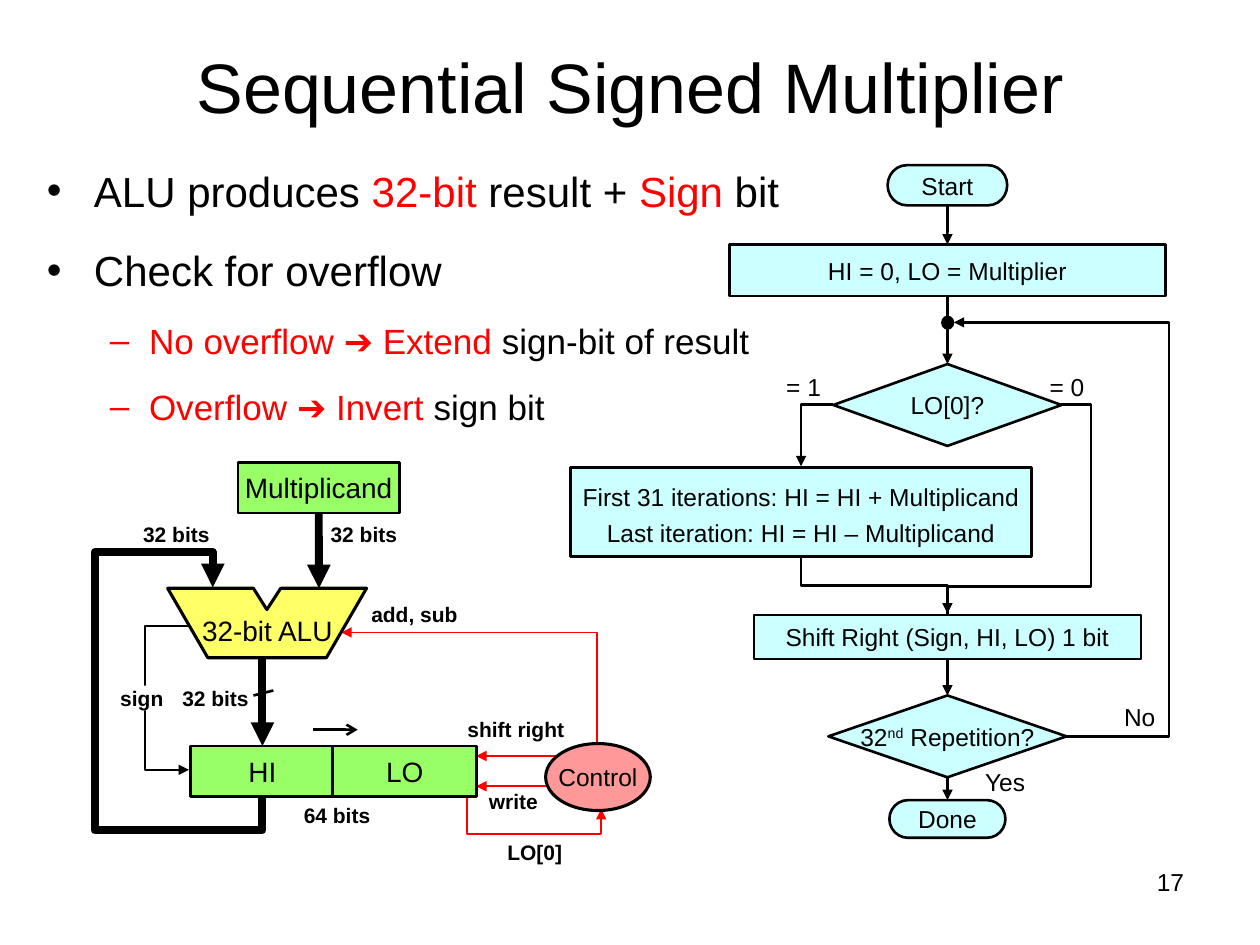
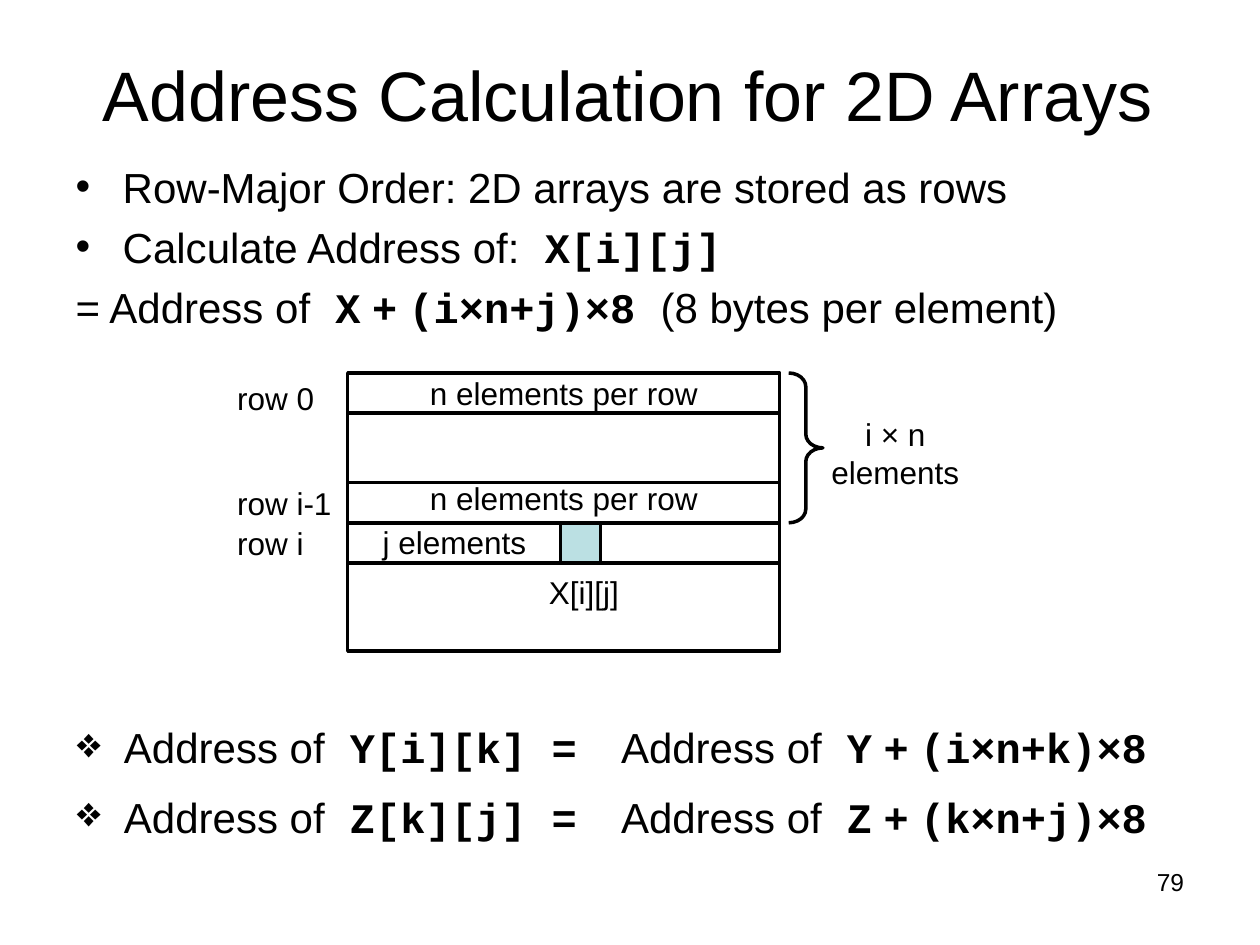
from lxml.etree import SubElement as Sub
from pptx import Presentation
from pptx.dml.color import RGBColor
from pptx.enum.shapes import MSO_CONNECTOR as Conn, MSO_SHAPE as Kind
from pptx.enum.text import MSO_ANCHOR as Anchor, MSO_AUTO_SIZE as Fit, PP_ALIGN as Align
from pptx.oxml.ns import qn
from pptx.util import Cm, Pt

BLACK, WHITE, RED = "000000", "FFFFFF", "FF0000"
AQUA, GREEN, YELLOW, PINK, TEAL = "CCFFFF", "99FF66", "FFFF66", "FF9999", "BBE0E3"
SANS, MONO = "Arial", "Courier New"
AXIS = 19.1
BODY = 24


def color(code):
    return RGBColor.from_string(code)


def cms(*vals):
    return [Cm(val) for val in vals]


def red(text):
    return text, {"ink": RED}


def code(text):
    return text, {"face": MONO, "bold": True}


def bold(text):
    return text, {"bold": True}


def add_run(para, text, size, ink=BLACK, face=SANS, bold=False, base=0):
    run = para.add_run()
    run.text = text
    font = run.font
    font.size, font.name, font.bold = Pt(size), face, bold
    font.color.rgb = color(ink)
    if base:
        run._r.get_or_add_rPr().set("baseline", str(base))


def add_runs(para, runs, size, **look):
    for run in runs:
        text, extra = (run, {}) if isinstance(run, str) else run
        add_run(para, text, size, **{**look, **extra})


def set_bullet(para, mark, left, hang):
    props = para._p.get_or_add_pPr()
    props.set("marL", str(Cm(left)))
    props.set("indent", str(-Cm(hang)))
    if mark:
        Sub(props, qn("a:buChar"), char=mark)
    else:
        Sub(props, qn("a:buNone"))


def paras(frame, count):
    return [frame.paragraphs[0]] + [frame.add_paragraph() for _ in range(count - 1)]


def write(frame, lines, size, align=Align.CENTER, wrap=True, space=None, **look):
    frame.word_wrap = wrap
    frame.vertical_anchor = Anchor.MIDDLE
    frame.margin_left = frame.margin_right = frame.margin_top = frame.margin_bottom = 0
    for para, runs in zip(paras(frame, len(lines)), lines):
        para.alignment = align
        if space:
            para.line_spacing = space
        add_runs(para, runs, size, **look)


def fill_list(frame, items, gap):
    frame.word_wrap = True
    frame.auto_size = Fit.NONE
    frame.vertical_anchor = Anchor.TOP
    for num, (para, (mark, level, runs)) in enumerate(zip(paras(frame, len(items)), items)):
        size = (BODY, 20)[level]
        para.level = level
        para.space_before = Pt(round(gap * size * 1.15, 1) if num else 0)
        set_bullet(para, mark, *((0.95, 0.95), (2.06, 0.79))[level])
        add_runs(para, runs, size)


def place(shape, at):
    shape.left, shape.top, shape.width, shape.height = cms(*at)


def new_page(deck, title, at, number):
    page = deck.slides.add_slide(deck.slide_layouts[1])
    head = page.shapes.title
    place(head, at)
    write(head.text_frame, [[title]], 40)
    label(page, (18.47, 17.48, 5.4, 0.57), number, 14, Align.RIGHT)
    return page


def add_body(page, at, items, gap):
    body = page.placeholders[1]
    place(body, at)
    fill_list(body.text_frame, items, gap)


def label(page, at, text, size, align=Align.CENTER, fill=None, **look):
    box = page.shapes.add_textbox(*cms(*at))
    if fill:
        box.fill.solid()
        box.fill.fore_color.rgb = color(fill)
    write(box.text_frame, [[line] for line in text.split("\n")], size, align, **look)


def paint(shape, fill, width):
    shape.shadow.inherit = False
    if fill:
        shape.fill.solid()
        shape.fill.fore_color.rgb = color(fill)
    else:
        shape.fill.background()
    stroke(shape, BLACK, width)


def stroke(shape, ink, width, tip=None):
    shape.line.color.rgb = color(ink)
    shape.line.width = Pt(width)
    if tip:
        Sub(shape.element.spPr.ln, qn("a:tailEnd"), type=tip)


def block(page, kind, at, fill, width, lines=(), size=14, space=None):
    shape = page.shapes.add_shape(kind, *cms(*at))
    paint(shape, fill, width)
    if lines:
        write(shape.text_frame, lines, size, wrap=False, space=space)
    return shape


def trace(page, points, closed=False):
    first, *rest = [cms(*point) for point in points]
    pen = page.shapes.build_freeform(*first, scale=1.0)
    pen.add_line_segments(rest, close=closed)
    return pen.convert_to_shape()


def route(page, points, ink, width):
    shape = trace(page, points)
    paint(shape, None, width)
    stroke(shape, ink, width, "triangle")


def wire(page, start, end, ink=BLACK, width=1.5, tip="triangle", kind=Conn.STRAIGHT):
    line = page.shapes.add_connector(kind, *cms(*start, *end))
    stroke(line, ink, width, tip)
    Sub(line.element.spPr, qn("a:effectLst"))
    return line


def link(page, top, low):
    line = wire(page, (0, 0), (1, 1))
    line.begin_connect(top, 2)
    line.end_connect(low, 0)


def bend(page, start, end, shape, adjust=(), tip="triangle", turn=False):
    if turn:
        (x1, y1), (x2, y2) = start, end
        mid_x, mid_y = (x1 + x2) / 2, (y1 + y2) / 2
        half_w, half_h = (x2 - x1) / 2, (y2 - y1) / 2
        start = mid_x + half_h, mid_y - half_w
        end = mid_x - half_h, mid_y + half_w
    line = wire(page, start, end, tip=tip, kind=Conn.ELBOW)
    props = line.element.spPr
    if turn:
        props.find(qn("a:xfrm")).set("rot", str(270 * 60000))
    geom = props.find(qn("a:prstGeom"))
    geom.set("prst", shape)
    guides = geom.find(qn("a:avLst"))
    for num, part in enumerate(adjust, 1):
        Sub(guides, qn("a:gd"), name=f"adj{num}", fmla=f"val {round(part * 100000)}")


def draw_flow(page):
    def node(kind, top, wide, high, *runs):
        at = AXIS - wide / 2, top, wide, high
        return block(page, kind, at, AQUA, 1.5, [runs])

    block(page, Kind.OVAL, (18.99, 6.38, 0.23, 0.25), BLACK, 1)
    start = node(Kind.FLOWCHART_TERMINATOR, 3.33, 2.41, 0.81, "Start")
    init = node(Kind.RECTANGLE, 4.93, 8.79, 1.04, "HI = 0, LO = Multiplier")
    test = node(Kind.FLOWCHART_DECISION, 7.34, 4.6, 1.65, "LO[0]?")
    shift = node(Kind.RECTANGLE, 12.4, 7.8, 0.89, "Shift Right (Sign, HI, LO) 1 bit")
    again = node(Kind.FLOWCHART_DECISION, 14.02, 4.8, 1.65,
                 "32", ("nd", {"base": 30000}), " Repetition?")
    done = node(Kind.FLOWCHART_TERMINATOR, 16.13, 2.34, 0.76, "Done")
    block(page, Kind.RECTANGLE, (11.5, 9.42, 9.3, 1.8), AQUA, 1.5,
          [["First 31 iterations: HI = HI + Multiplicand"],
           ["Last iteration: HI = HI – Multiplicand"]], space=1.2)

    for top, low in ((start, init), (init, test), (shift, again), (again, done)):
        link(page, top, low)
    bend(page, (16.8, 8.16), (16.15, 9.4), "bentConnector2")
    bend(page, (16.15, 11.23), (AXIS, 12.37), "bentConnector3", [0.5], turn=True)
    bend(page, (21.4, 8.16), (AXIS, 12.37), "bentConnector4", [-0.26, 0.87], None)
    bend(page, (21.5, 14.85), (19.23, 6.5), "bentConnector3", [-0.91])

    for left, top, text in ((21.16, 7.37, "= 0"), (15.85, 7.37, "= 1"),
                            (22.66, 14.02, "No"), (19.86, 15.34, "Yes")):
        label(page, (left, top, 1.2, 0.84), text, 14, Align.LEFT)


def draw_unit(page):
    route(page, [(5.29, 12.62), (2.92, 12.62), (2.92, 15.52), (3.81, 15.52)], BLACK, 1)
    route(page, [(5.29, 16.03), (5.29, 16.74), (1.91, 16.74),
                 (1.91, 11.13), (4.29, 11.13), (4.29, 11.84)], BLACK, 4.5)
    route(page, [(9.42, 16.03), (9.42, 16.81), (12.12, 16.81), (12.12, 16.31)], RED, 1)
    route(page, [(12.04, 15.06), (12.04, 12.75), (6.88, 12.75)], RED, 1)
    for left, top in ((11.2, 15.24), (11.13, 15.85)):
        wire(page, (left, top), (9.6, top), RED, 1)

    alu = trace(page, [(7.39, 11.86), (5.66, 11.86), (5.38, 12.29), (5.11, 11.86),
                       (3.38, 11.86), (4.19, 13.26), (6.58, 13.26)], True)
    paint(alu, YELLOW, 1.75)
    label(page, (3.89, 12.22, 3, 0.99), "32-bit ALU", 16)
    block(page, Kind.OVAL, (11, 14.99, 2.11, 1.35), PINK, 1.75, [["Control"]])
    source, high, _ = [
        block(page, Kind.RECTANGLE, (left, top, wide, 1.02), GREEN, 1.5, [[text]], 16)
        for left, top, wide, text in ((4.8, 9.32, 3.25, "Multiplicand"),
                                      (3.84, 15.04, 2.9, "HI"), (6.71, 15.04, 2.9, "LO"))]
    wire(page, (6.43, 10.34), (6.43, 11.86), width=4.5).begin_connect(source, 2)
    wire(page, (5.29, 13.23), (5.29, 15.04), width=4.5).end_connect(high, 0)
    wire(page, (6.3, 14.71), (7.21, 14.71), tip="arrow")
    wire(page, (5.11, 14.02), (5.51, 13.92), tip=None)

    for left, top, wide, text in (
            (6.07, 16.18, 1.45, "64 bits"), (6.6, 10.52, 1.47, "32 bits"),
            (2.82, 10.52, 1.47, "32 bits"), (3.61, 13.82, 1.47, "32 bits"),
            (9.7, 15.9, 1.3, "write"), (7.21, 12.14, 2.29, "add, sub"),
            (9.55, 16.92, 2.46, "LO[0]"), (9.17, 14.45, 2.46, "shift right")):
        label(page, (left, top, wide, 0.5), text, 12, bold=True)
    label(page, (2.21, 13.82, 1.3, 0.5), "sign", 12, fill=WHITE, bold=True)


def draw_array(page):
    left, wide = 7.01, 8.71
    edges = [7.52, 8.33, 9.73, 10.54, 11.35, 13.13]
    for top, low in zip(edges, edges[1:]):
        block(page, Kind.RECTANGLE, (left, top, wide, low - top), WHITE, 2)
    block(page, Kind.RECTANGLE, (11.3, 10.54, 0.81, 0.81), TEAL, 2)
    brace = block(page, Kind.RIGHT_BRACE, (15.9, 7.52, 0.69, 3.02), None, 2)
    brace.adjustments[0] = 0.4

    for top, text in ((7.53, "row 0"), (9.63, "row i-1"), (10.45, "row i")):
        label(page, (4.78, top, 2.2, 1), text, 18, Align.LEFT)
    for top in (7.42, 9.53):
        label(page, (left, top, wide, 1), "n elements per row", 18)
    label(page, (left, 10.42, 4.3, 1), "j elements", 18)
    label(page, (10.82, 11.43, 1.9, 1), "X[i][j]", 18)
    label(page, (16.41, 8.23, 3.28, 1.8), "i × n\nelements", 18)


def sum_of(name, index):
    return ["Address of", code(f" {name}"), bold(" + "), code(f"({index})×8")]


def add_sums(page):
    pairs = (("Y", "[i][k]", "i×n+k"), ("Z", "[k][j]", "k×n+j"))
    names = [("❖", 0, ["Address of", code(f" {name}{spot} =")]) for name, spot, _ in pairs]
    sums = [(None, 0, sum_of(name, index)) for name, _, index in pairs]
    for left, wide, items in ((1.3, 10.8, names), (12.27, 12.27, sums)):
        box = page.shapes.add_textbox(*cms(left, 14.43, wide, 2.9))
        fill_list(box.text_frame, items, 0.4)


def main():
    deck = Presentation()
    deck.slide_width, deck.slide_height = cms(25.4, 19.05)

    page = new_page(deck, "Sequential Signed Multiplier", (1.27, 0.13, 22.86, 3.18), "17")
    add_body(page, (0.69, 3.2, 22.86, 7.14), [
        ("•", 0, ["ALU produces ", red("32-bit"), " result + ", red("Sign"), " bit"]),
        ("•", 0, ["Check for overflow"]),
        ("–", 1, [red("No overflow ➔ Extend"), " sign-bit of result"]),
        ("–", 1, [red("Overflow ➔ Invert "), "sign bit"])], 0.6)
    draw_flow(page)
    draw_unit(page)

    page = new_page(deck, "Address Calculation for 2D Arrays", (1.22, 0.3, 22.86, 3.18), "79")
    add_body(page, (1.27, 3.12, 22.86, 4.24), [
        ("•", 0, ["Row-Major Order: 2D arrays are stored as rows"]),
        ("•", 0, ["Calculate Address of:", code(" X[i][j]")]),
        (None, 0, ["= "] + sum_of("X", "i×n+j") + [code(" "), "(8 bytes per element)"])], 0.2)
    draw_array(page)
    add_sums(page)

    deck.save("out.pptx")


if __name__ == "__main__":
    main()
